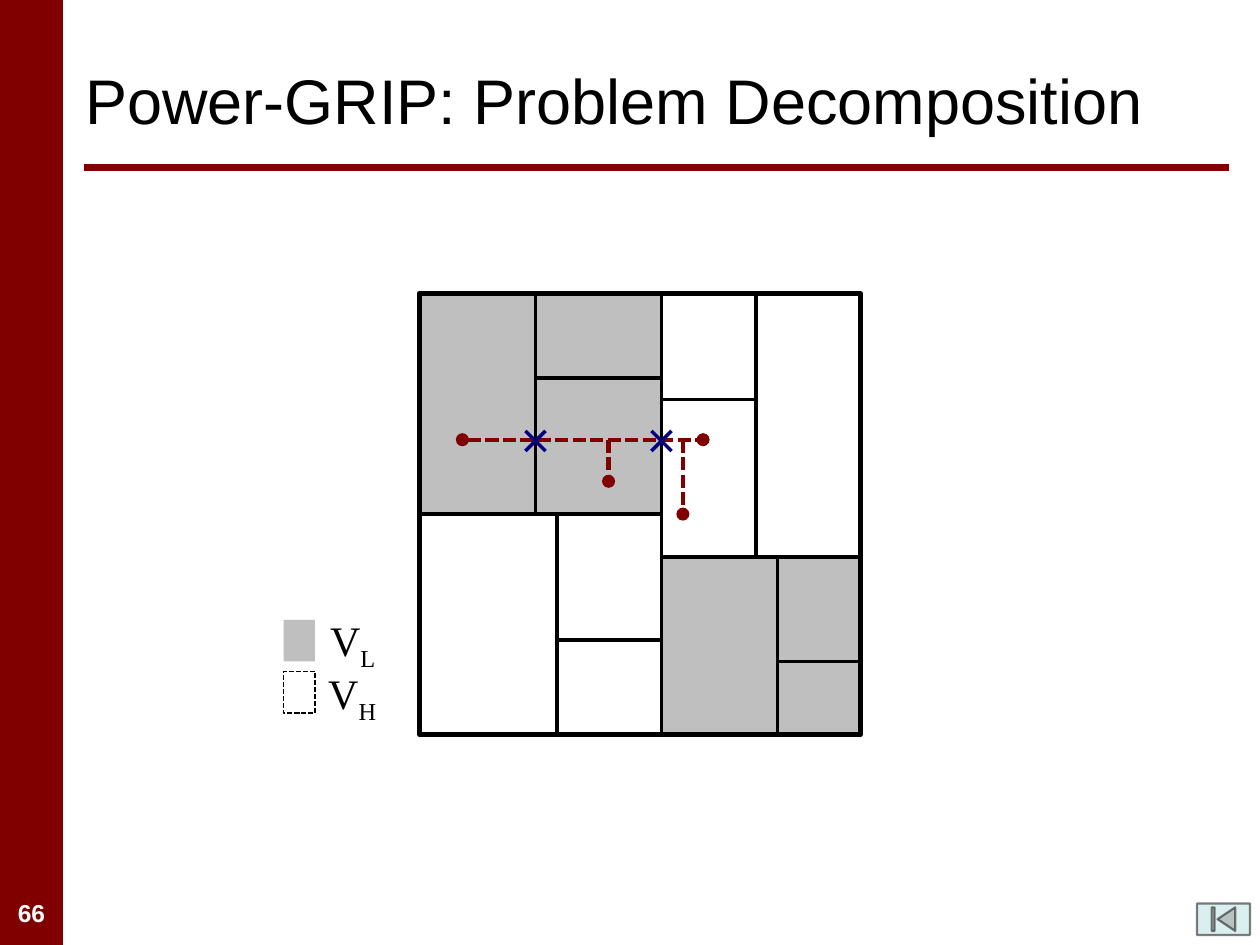
import pptx
import pptx.chart.data
import pptx.dml.color
import pptx.enum.dml
import pptx.enum.shapes
import pptx.enum.text
import pptx.oxml
import pptx.oxml.ns
import pptx.util
from pptx.util import Inches

SHAPE = pptx.enum.shapes.MSO_SHAPE
ALIGN = pptx.enum.text.PP_ALIGN
ANCHOR = pptx.enum.text.MSO_ANCHOR
DASH = pptx.enum.dml.MSO_LINE.SQUARE_DOT
MAROON, GRAY, NAVY, BLACK, WHITE = "800000", "BFBFBF", "000080", "000000", "FFFFFF"


def rgb(value):
    """Return the colour for a hex string."""
    return pptx.dml.color.RGBColor.from_string(value)


def element(parent, tag, **attributes):
    """Append a drawing element to a parent and return it."""
    child = pptx.oxml.parse_xml(f'<{tag} {pptx.oxml.ns.nsdecls("a")}/>')
    for key, value in attributes.items():
        child.set(key, value)
    parent.append(child)
    return child


def set_line(line, color, width, dash=None):
    """Style a line or an outline."""
    line.color.rgb = rgb(color)
    line.width = pptx.util.Pt(width)
    if dash:
        line.dash_style = dash


def add_block(slide, left, top, width, height, fill=None, kind=SHAPE.RECTANGLE):
    """Add a shape without outline or shadow."""
    block = slide.shapes.add_shape(
        kind, Inches(left), Inches(top), Inches(width), Inches(height))
    block.shadow.inherit = False
    block.line.fill.background()
    if fill:
        block.fill.solid()
        block.fill.fore_color.rgb = rgb(fill)
    else:
        block.fill.background()
    return block


def add_line(slide, start, end, color, width, dash=None, head=False, tail=False):
    """Add a straight line with optional oval ends."""
    line = slide.shapes.add_connector(
        pptx.enum.shapes.MSO_CONNECTOR.STRAIGHT, *map(Inches, (*start, *end)))
    set_line(line.line, color, width, dash)
    for tag, shown in (("a:headEnd", head), ("a:tailEnd", tail)):
        if shown:
            element(line.line._get_or_add_ln(), tag, type="oval")
    element(line._element.spPr, "a:effectLst")
    return line


def add_text(slide, box, runs, size, font, color, align=ALIGN.LEFT,
             anchor=ANCHOR.TOP, bold=False, wrap=True):
    """Add a text box from (text, baseline) runs."""
    frame = slide.shapes.add_textbox(*map(Inches, box)).text_frame
    frame.word_wrap = wrap
    frame.vertical_anchor = anchor
    paragraph = frame.paragraphs[0]
    paragraph.alignment = align
    for text, baseline in runs:
        run = paragraph.add_run()
        run.text = text
        run.font.size = pptx.util.Pt(size)
        run.font.name = font
        run.font.bold = bold
        run.font.color.rgb = rgb(color)
        if baseline:
            run.font._element.set("baseline", str(baseline * 1000))


def add_frame(slide, width, height):
    """Add the side bar, title, rule and page number."""
    add_block(slide, 0, 0, 0.5, height, MAROON)
    add_line(slide, (0.67, 1.33), (width - 0.25, 1.33), MAROON, 4)
    add_text(slide, (0, height - 0.42, 0.5, 0.33), [("66", 0)], 14, "Arial",
             WHITE, ALIGN.CENTER, bold=True)
    add_text(slide, (0.58, 0.25, 9.17, 1.08),
             [("Power-GRIP: Problem Decomposition", 0)], 36, "Arial", BLACK,
             anchor=ANCHOR.MIDDLE)


def add_floorplan(slide, left, top, side):
    """Add the floorplan with its low-voltage regions and partition lines."""
    middle, upper_left, upper_right = 1.92, side / 2, 2.09
    add_block(slide, left, top, middle, upper_left, GRAY)
    add_block(slide, left + middle, top + upper_right,
              side - middle, side - upper_right, GRAY)
    outline = add_block(slide, left, top, side, side)
    set_line(outline.line, BLACK, 3)

    left_cut = add_line(slide, (left, top + upper_left),
                        (left + middle, top + upper_left), BLACK, 2)
    left_cut.begin_connect(outline, 1)
    cuts = [
        (middle, 0, middle, side),
        (middle, upper_right, side, upper_right),
        (2.67, 0, 2.67, upper_right),
        (2.84, upper_right, 2.84, side),
        (0.92, 0, 0.92, upper_left),
        (1.09, upper_left, 1.09, side),
        (middle, 0.84, 2.67, 0.84),
        (0.92, 0.67, middle, 0.67),
        (1.09, 2.75, middle, 2.75),
        (2.84, 2.92, side, 2.92),
    ]
    for x1, y1, x2, y2 in cuts:
        add_line(slide, (left + x1, top + y1), (left + x2, top + y2), BLACK, 2)


def add_route(slide, left, top):
    """Add the dashed net, its branches and the boundary crossings."""
    add_line(slide, (left, top), (left + 1.91, top), MAROON, 2.5, DASH, True, True)
    for offset, length in ((1.16, 0.33), (1.75, 0.59)):
        add_line(slide, (left + offset, top), (left + offset, top + length),
                 MAROON, 2.5, DASH, tail=True)
    arm, y = 0.08, top + 0.01
    for x in (left + 1.58, left + 0.58):
        for side in (arm, -arm):
            add_line(slide, (x + side, y - arm), (x - side, y + arm), NAVY, 2)


def add_legend(slide, left, top):
    """Add the swatches and labels of the two voltages."""
    add_block(slide, left, top, 0.25, 0.33, GRAY)
    high = add_block(slide, left, top + 0.41, 0.25, 0.33, WHITE)
    set_line(high.line, BLACK, 1, DASH)
    for row, (level, x, width) in enumerate((("L", 0.26, 0.58), ("H", 0.24, 0.61))):
        add_text(slide, (left + x, top - 0.09 + row * 0.42, width, 0.5),
                 [("V", 0), (level, -25)], 24, "Times New Roman", BLACK,
                 ALIGN.CENTER, wrap=False)


def add_back_button(slide, left, top):
    """Add the half-transparent button to the beginning."""
    button = add_block(slide, left, top, 0.42, 0.25, "BBE0E3",
                       SHAPE.ACTION_BUTTON_BEGINNING)
    set_line(button.line, BLACK, 1.25)
    for color in button._element.spPr.iter(pptx.oxml.ns.qn("a:srgbClr")):
        element(color, "a:alpha", val="50000")


def main():
    """Build and save the slide."""
    deck = pptx.Presentation()
    deck.slide_width, deck.slide_height = Inches(10), Inches(7.5)
    slide = deck.slides.add_slide(deck.slide_layouts[6])
    add_frame(slide, 10, 7.5)
    add_floorplan(slide, 3.33, 2.33, 3.5)
    add_legend(slide, 2.25, 4.92)
    add_route(slide, 3.67, 3.49)
    add_back_button(slide, 9.5, 7.17)
    deck.save("out.pptx")


if __name__ == "__main__":
    main()
